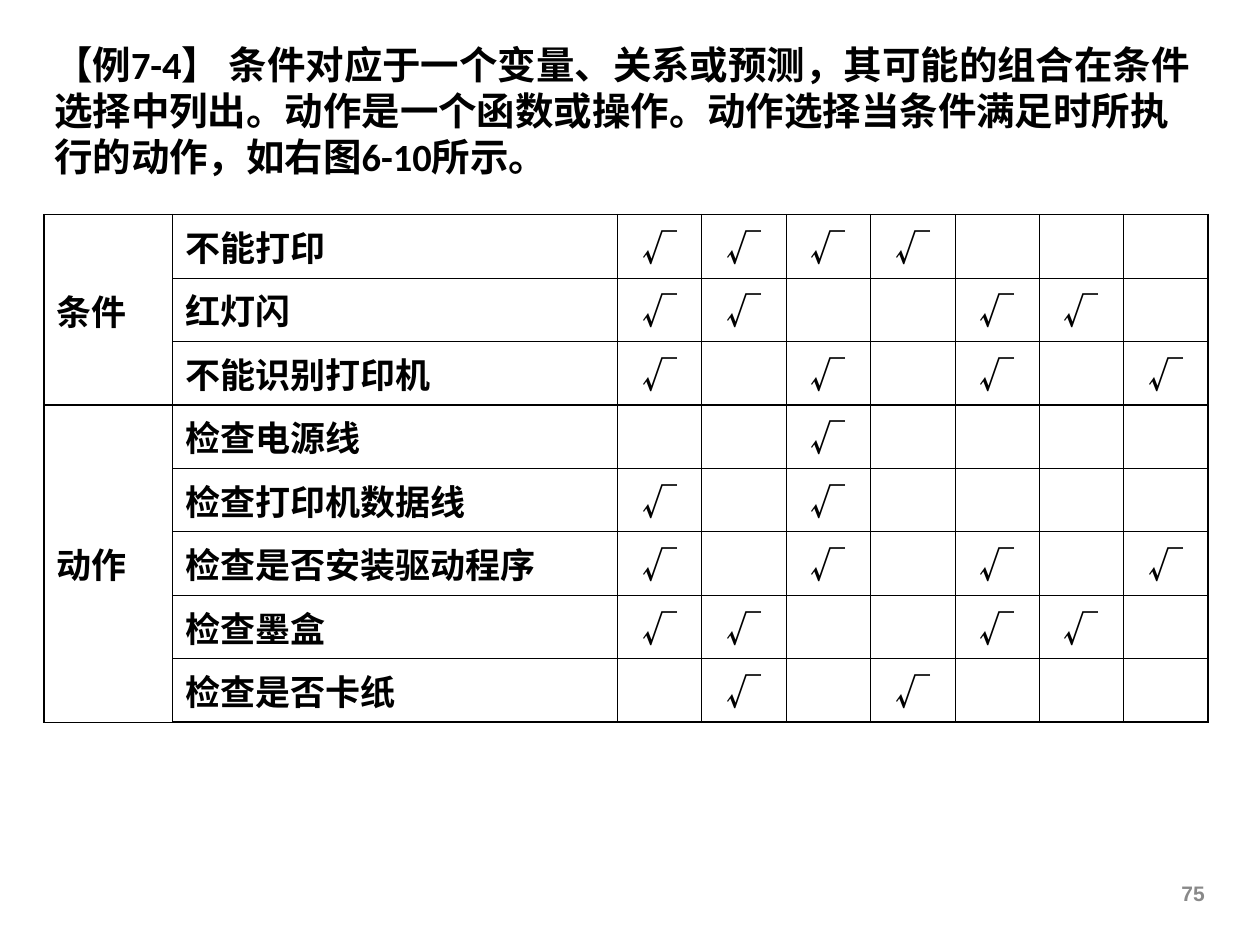
from lxml.etree import SubElement
from pptx import Presentation
from pptx.dml.color import RGBColor
from pptx.enum.text import MSO_ANCHOR, PP_ALIGN
from pptx.oxml.ns import qn
from pptx.util import Inches, Pt

BLACK = RGBColor(0, 0, 0)
GREY = RGBColor(0x89, 0x89, 0x89)
THIN, MID, THICK = 0.06, 0.45, 0.96
SPANS = [("条件", 0, 2), ("动作", 3, 7)]
RULES = [
    ("不能打印", "1111000"),
    ("红灯闪", "1100110"),
    ("不能识别打印机", "1010101"),
    ("检查电源线", "0010000"),
    ("检查打印机数据线", "1010000"),
    ("检查是否安装驱动程序", "1010101"),
    ("检查墨盒", "1100110"),
    ("检查是否卡纸", "0101000"),
]
COLS = [1.02, 3.53] + [0.67] * 7
ROW = 0.44


def write(frame, text, size=20, font="Times New Roman", east="Noto Sans CJK SC",
          color=BLACK, align=PP_ALIGN.LEFT, hang=0):
    para = frame.paragraphs[0]
    para.alignment = align
    if hang:
        props = para._p.get_or_add_pPr()
        props.set("marL", str(Inches(hang)))
        props.set("indent", str(-Inches(hang)))
    run = para.add_run()
    run.text = text
    run.font.size, run.font.bold, run.font.name = Pt(size), True, font
    run.font.color.rgb = color
    SubElement(run._r.get_or_add_rPr(), qn("a:ea"), typeface=east)


def edge(cell, **sides):
    """Draw the cell's borders, given as tag=points, ahead of its fill."""
    props = cell._tc.get_or_add_tcPr()
    for tag, width in sides.items():
        line = SubElement(props, qn("a:" + tag), w=str(Pt(width)))
        fill = SubElement(line, qn("a:solidFill"))
        SubElement(fill, qn("a:srgbClr"), val=str(BLACK))
    cell.fill.background()


def rule_x(col, row):
    """Width of the upright line left of a column."""
    if col in (0, 2, len(COLS)):
        return THICK
    return THIN if col == 1 and row < 3 else MID


def rule_y(row, col):
    """Width of the level line above a row."""
    if row in (0, 3, len(RULES)):
        return THICK
    return THIN if col == 1 and row < 3 else MID


class Deck:
    def __init__(self):
        self.prs = Presentation()
        self.prs.slide_width, self.prs.slide_height = Inches(10), Inches(7.5)
        self.slide = self.prs.slides.add_slide(self.prs.slide_layouts[5])

    def box(self, x, y, w, h):
        """Turn shares of the slide into lengths."""
        wide, high = self.prs.slide_width, self.prs.slide_height
        return int(x * wide), int(y * high), int(w * wide), int(h * high)

    def title(self, text, *area):
        shape = self.slide.shapes.title
        shape.left, shape.top, shape.width, shape.height = self.box(*area)
        shape.text_frame.vertical_anchor = MSO_ANCHOR.MIDDLE
        write(shape.text_frame, text, size=22, font="Calibri", east="Calibri")

    def number(self, text, *area):
        frame = self.slide.shapes.add_textbox(*self.box(*area)).text_frame
        frame.word_wrap = True
        frame.vertical_anchor = MSO_ANCHOR.MIDDLE
        write(frame, text, size=12, font="Arial", color=GREY, align=PP_ALIGN.RIGHT)

    def table(self, *area):
        shape = self.slide.shapes.add_table(len(RULES), len(COLS), *self.box(*area))
        table = shape.table
        table.first_row = table.horz_banding = False
        for col, width in zip(table.columns, COLS):
            col.width = Inches(width)
        for row in table.rows:
            row.height = Inches(ROW)
        for r in range(len(RULES)):
            for c in range(len(COLS)):
                edge(table.cell(r, c), lnL=rule_x(c, r), lnR=rule_x(c + 1, r),
                     lnT=rule_y(r, c), lnB=rule_y(r + 1, c))
        for name, top, end in SPANS:
            cell = table.cell(top, 0)
            cell.merge(table.cell(end, 0))
            cell.vertical_anchor = MSO_ANCHOR.MIDDLE
            write(cell.text_frame, name, hang=0.38)
        for r, (name, marks) in enumerate(RULES):
            write(table.cell(r, 1).text_frame, name, hang=0.38)
            for c, mark in enumerate(marks, 2):
                if mark == "1":
                    write(table.cell(r, c).text_frame, "√", font="Noto Sans CJK SC",
                          align=PP_ALIGN.CENTER, hang=0.38)


def main():
    deck = Deck()
    deck.title("【例7-4】 条件对应于一个变量、关系或预测，其可能的组合在条件选择中列出。"
               "动作是一个函数或操作。动作选择当条件满足时所执行的动作，如右图6-10所示。",
               0.033, 0.033, 0.934, 0.167)
    deck.table(0.035, 0.227, 0.923, 0.467)
    deck.number("75", 0.716, 0.911, 0.25, 0.069)
    deck.prs.save("out.pptx")


if __name__ == "__main__":
    main()
